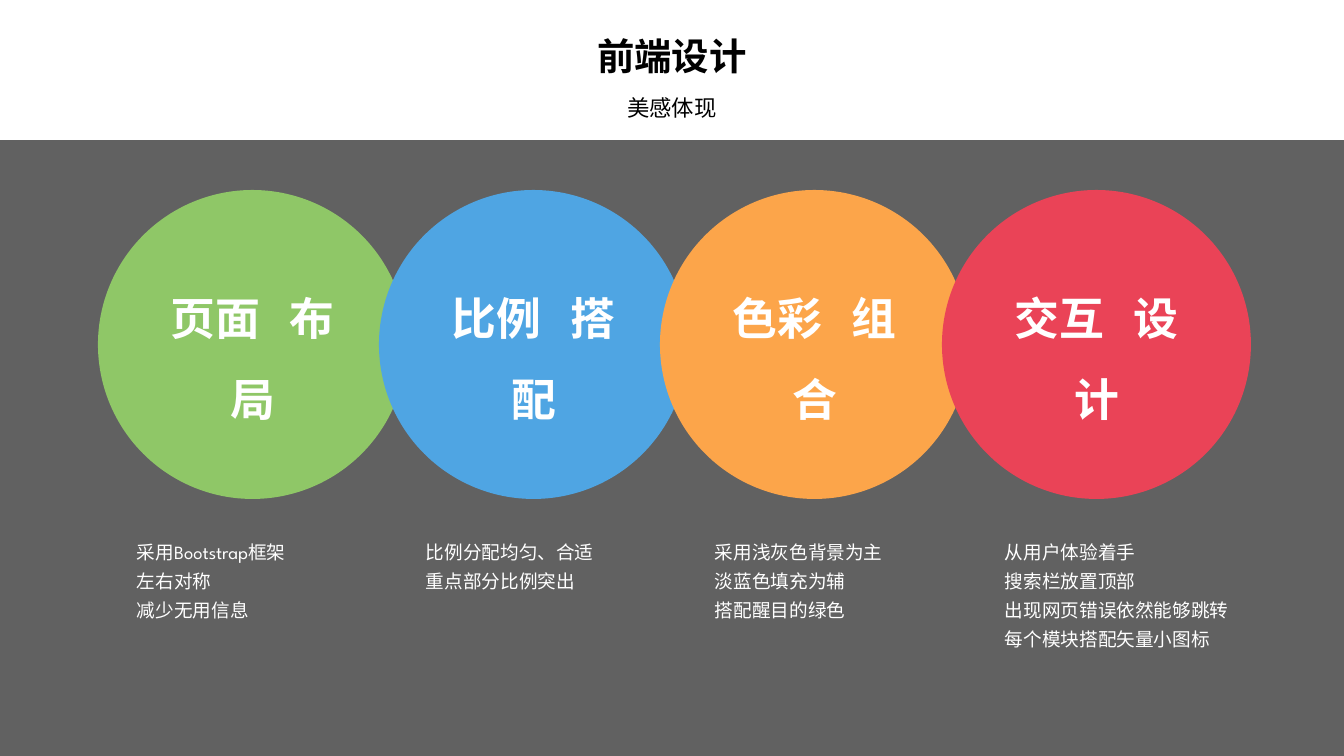
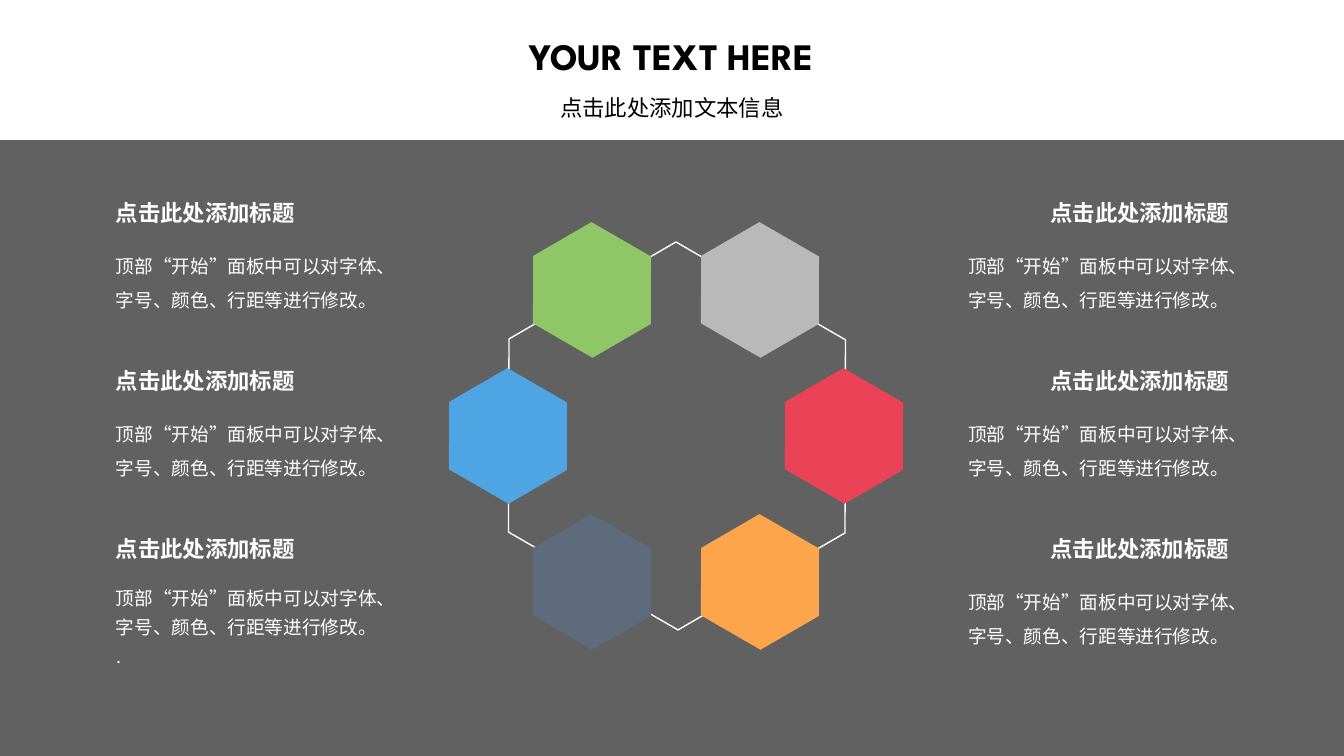
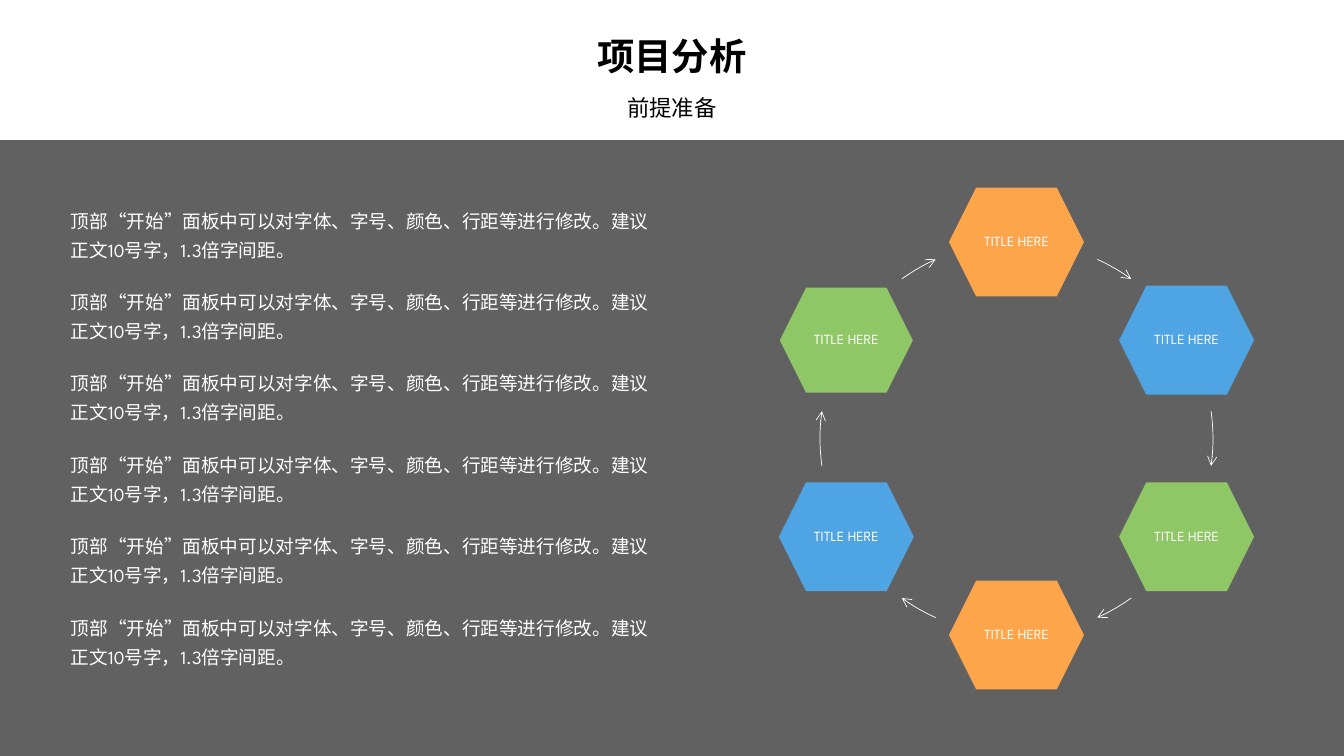
from lxml.etree import SubElement
from math import cos, radians, sin
from pptx import Presentation
from pptx.dml.color import RGBColor
from pptx.enum.lang import MSO_LANGUAGE_ID
from pptx.enum.shapes import MSO_SHAPE
from pptx.enum.text import MSO_ANCHOR, PP_ALIGN
from pptx.oxml.ns import qn
from pptx.util import Emu, Pt

# Shared style
FONT = "League Spartan"
BLACK = RGBColor(0x00, 0x00, 0x00)
WHITE = RGBColor(0xFF, 0xFF, 0xFF)
GREEN = RGBColor(0x8F, 0xC7, 0x67)
BLUE = RGBColor(0x4F, 0xA5, 0xE3)
ORANGE = RGBColor(0xFC, 0xA5, 0x4A)
RED = RGBColor(0xEA, 0x43, 0x57)
SLATE = RGBColor(0x5D, 0x6B, 0x7C)
SILVER = RGBColor(0xB9, 0xB9, 0xB9)
LEFT, MID, RIGHT = PP_ALIGN.LEFT, PP_ALIGN.CENTER, PP_ALIGN.RIGHT
WIDE, HIGH, BAND = 1344, 756, 140
SCALE = 12192000 / WIDE

# Content
HEADS = [("前端设计", "美感体现"),
         ("YOUR TEXT HERE", "点击此处添加文本信息"),
         ("项目分析", "前提准备")]

DISCS = [
    (("页面", "布局"), GREEN, ["采用Bootstrap框架", "左右对称", "减少无用信息"]),
    (("比例", "搭配"), BLUE, ["比例分配均匀、合适", "重点部分比例突出"]),
    (("色彩", "组合"), ORANGE, ["采用浅灰色背景为主", "淡蓝色填充为辅", "搭配醒目的绿色"]),
    (("交互", "设计"), RED, ["从用户体验着手", "搜索栏放置顶部",
                         "出现网页错误依然能够跳转", "每个模块搭配矢量小图标"]),
]

TOPIC = "点击此处添加标题"
HINT = "顶部“开始”面板中可以对字体、字号、颜色、行距等进行修改。"
# Column, alignment, then lines and spacing for each row
SIDES = [
    (106, LEFT, [([HINT], 1.5), ([HINT], 1.5), ([HINT, "."], 1.3)]),
    (956, RIGHT, [([HINT], 1.5)] * 3),
]
# Offset from the ring's centre, in half columns and rows
CELLS = [(-1, 1, SLATE), (2, 0, RED), (-2, 0, BLUE),
         (1, -1, SILVER), (1, 1, ORANGE), (-1, -1, GREEN)]

ADVICE = HINT + "建议正文10号字，1.3倍字间距。"
LABEL = "TITLE HERE"
# Left, top and width of the circle that the steps sit on
RING = (820, 242, 393)
# Fill, width, height, and half the angle of the arrow that follows
STEPS = [(ORANGE, 135, 109, 5.7), (BLUE, 135, 109, 8), (GREEN, 135, 109, 5.7),
         (ORANGE, 135, 109, 5.7), (BLUE, 135, 109, 8), (GREEN, 133, 105, 5.7)]


def px(num):
    return Emu(round(num * SCALE))


def style(para, size, color=WHITE, bold=False, align=LEFT, gap=1.0):
    para.alignment, para.line_spacing = align, gap
    for run in para.runs:
        font = run.font
        font.name, font.size, font.bold = FONT, Pt(size), bold
        font.color.rgb = color
        font.language_id = MSO_LANGUAGE_ID.SIMPLIFIED_CHINESE


def write(slide, box, lines, size, **look):
    frame = slide.shapes.add_textbox(*map(px, box)).text_frame
    frame.word_wrap = True
    frame.text = "\n".join(lines)
    for para in frame.paragraphs:
        style(para, size, **look)
    return frame


def draw(slide, kind, box, fill=None, line=None, width=1):
    shape = slide.shapes.add_shape(kind, *map(px, box))
    shape.shadow.inherit = False
    if fill is None:
        shape.fill.background()
    else:
        shape.fill.solid()
        shape.fill.fore_color.rgb = fill
    if line is None:
        shape.line.fill.background()
    else:
        shape.line.color.rgb, shape.line.width = line, Pt(width)
    return shape


def centre(x, y, wide, high):
    return x - wide / 2, y - high / 2, wide, high


def start(deck, head, sub):
    slide = deck.slides.add_slide(deck.slide_layouts[6])
    # Black veil at 62 percent, then the title band
    veil = draw(slide, MSO_SHAPE.RECTANGLE, (0, 0, WIDE, HIGH), BLACK)
    tint = veil.fill._xPr.find(qn("a:solidFill"))[0]
    SubElement(tint, qn("a:alpha"), val="62000")
    draw(slide, MSO_SHAPE.RECTANGLE, (0, 0, WIDE, BAND), WHITE)
    for text, y, high, size, bold in ((head, 24, 69, 26.7, True),
                                      (sub, 86, 46, 16, False)):
        frame = write(slide, (415, y, 514, high), [text], size,
                      color=BLACK, bold=bold, align=MID, gap=0.9)
        frame.vertical_anchor = MSO_ANCHOR.MIDDLE
        frame.paragraphs[0].space_before = Pt(10)
    return slide


def discs(slide):
    for i, (words, fill, notes) in enumerate(DISCS):
        box = (98 + 844 * i // 3, 190, 309, 309)
        frame = draw(slide, MSO_SHAPE.OVAL, box, fill).text_frame
        frame.word_wrap = True
        frame.vertical_anchor = MSO_ANCHOR.MIDDLE
        frame.margin_left = frame.margin_right = px(25)
        frame.margin_top = frame.margin_bottom = px(11)
        para = frame.paragraphs[0]
        for part in (words[0], " ", words[1]):
            para.add_run().text = part
        style(para, 32, bold=True, align=MID, gap=1.5)
        # Widen the space between the two words
        para.runs[1].font._element.set("spc", "1400")
        write(slide, (127 + 868 * i // 3, 529, 276, 99), notes, 13.3, gap=1.3)


def hexes(slide):
    x, y = 677, 436

    def turn(box, **look):
        cell = draw(slide, MSO_SHAPE.HEXAGON, box, **look)
        cell.adjustments[0] = 0.287
        cell.rotation = 30

    turn(centre(x, y, 388, 335), line=WHITE)
    for left, align, rows in SIDES:
        for i, (lines, gap) in enumerate(rows):
            top = 194 + 168 * i
            write(slide, (left, top + 45, 283, 78), lines, 13.3,
                  align=align, gap=gap)
            write(slide, (left, top, 283, 37), [TOPIC], 16,
                  bold=True, align=align)
    for col, row, fill in CELLS:
        turn(centre(x - 1 + 84 * col, y + 146 * row, 136, 117), fill=fill)


def cycle(slide):
    left, top, size = RING
    half = size / 2
    for i, (fill, wide, high, span) in enumerate(STEPS):
        angle = 60 * i - 90
        x = left + half + half * cos(radians(angle))
        y = top + half + half * sin(radians(angle))
        cell = draw(slide, MSO_SHAPE.HEXAGON, centre(x, y, wide, high), fill)
        frame = cell.text_frame
        frame.word_wrap = False
        frame.vertical_anchor = MSO_ANCHOR.MIDDLE
        frame.text = LABEL
        style(frame.paragraphs[0], 10, align=MID, gap=0.9)
        # Curved arrow to the next step; arc angles count 0.6 per degree
        arc = draw(slide, MSO_SHAPE.ARC, (left, top, size, size),
                   line=WHITE, width=0.5)
        for k, side in enumerate((-span, span)):
            arc.adjustments[k] = (angle + 30 + side) % 360 * 0.6
        SubElement(arc.line._get_or_add_ln(), qn("a:tailEnd"), type="arrow")
    for i in range(6):
        write(slide, (61, 198 + 407 * i // 5, 599, 69), [ADVICE], 13.3, gap=1.3)


def main():
    deck = Presentation()
    deck.slide_width, deck.slide_height = px(WIDE), px(HIGH)
    for (head, sub), fill in zip(HEADS, (discs, hexes, cycle)):
        fill(start(deck, head, sub))
    deck.save("out.pptx")


if __name__ == "__main__":
    main()
